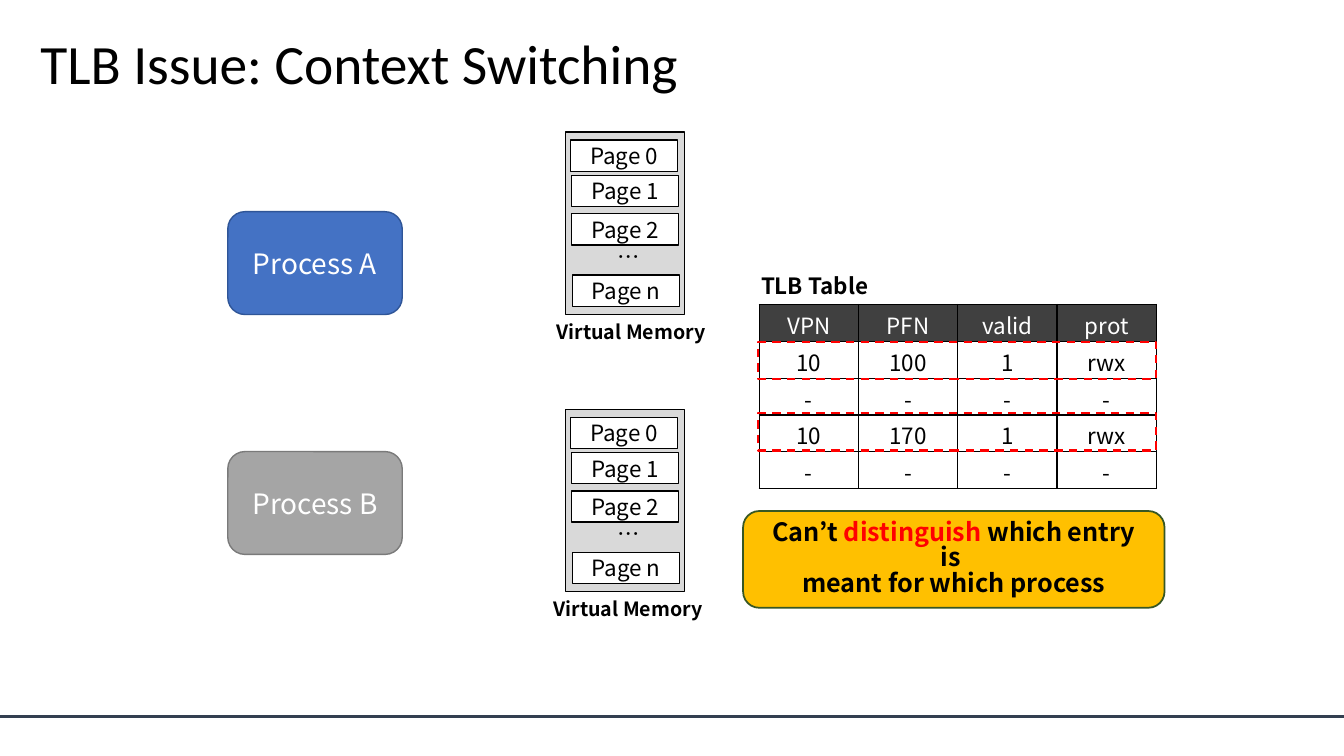
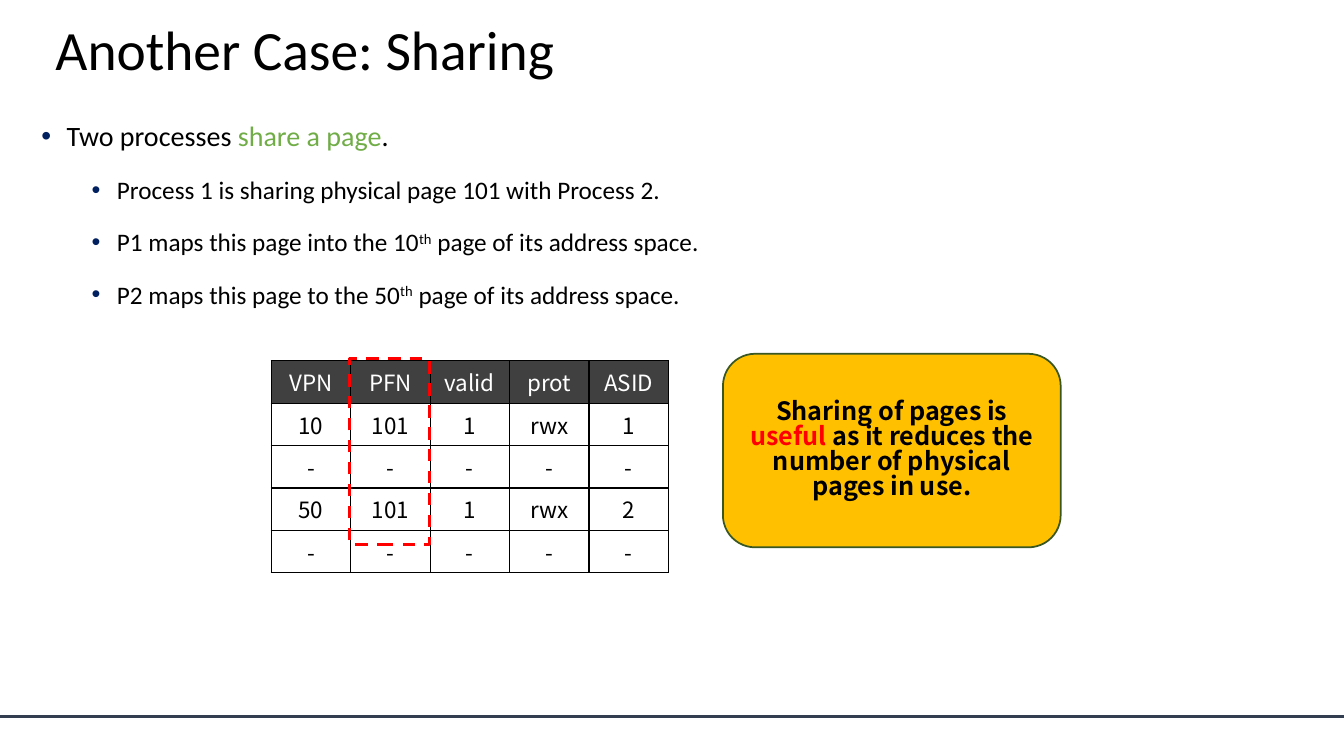
from lxml import etree
from pptx import Presentation
from pptx.dml.color import RGBColor
from pptx.enum.dml import MSO_LINE
from pptx.enum.shapes import MSO_CONNECTOR, MSO_SHAPE as SHAPE
from pptx.enum.text import MSO_ANCHOR as ANCHOR, MSO_AUTO_SIZE, PP_ALIGN as ALIGN
from pptx.oxml.ns import qn
from pptx.util import Inches, Pt

BLACK = RGBColor(0x00, 0x00, 0x00)
WHITE = RGBColor(0xFF, 0xFF, 0xFF)
RED = RGBColor(0xFF, 0x00, 0x00)
GREEN = RGBColor(0x70, 0xAD, 0x47)
NAVY = RGBColor(0x00, 0x20, 0x60)
SLATE = RGBColor(0x33, 0x3F, 0x50)
DARK_GRAY = RGBColor(0x40, 0x40, 0x40)
LIGHT_GRAY = RGBColor(0xD9, 0xD9, 0xD9)
BLUE, BLUE_EDGE = RGBColor(0x44, 0x72, 0xC4), RGBColor(0x2F, 0x55, 0x97)
GRAY, GRAY_EDGE = RGBColor(0xA5, 0xA5, 0xA5), RGBColor(0x7A, 0x7A, 0x7A)
AMBER, AMBER_EDGE = RGBColor(0xFF, 0xC0, 0x00), RGBColor(0x38, 0x57, 0x23)

TEXT_FONT, DIAGRAM_FONT = "Calibri", "Noto Sans CJK KR"
TITLE = dict(name=TEXT_FONT, size=Pt(39.6), color=BLACK)
BODY = dict(name=TEXT_FONT, size=Pt(20), color=BLACK)
SUB_BODY = dict(BODY, size=Pt(18))
LABEL = dict(name=DIAGRAM_FONT, size=Pt(16), color=BLACK)
PROCESS = dict(LABEL, size=Pt(20), color=WHITE)
CAPTION = dict(LABEL, size=Pt(14), bold=True)
CALLOUT = dict(LABEL, size=Pt(18), bold=True)


# Text and shape helpers
def box(left, top, width, height):
    return [Inches(v) for v in (left, top, width, height)]


def add_runs(p, runs, base):
    """Add plain strings or (text, changed format) pairs to a paragraph."""
    for item in [runs] if isinstance(runs, str) else runs:
        text, changes = (item, {}) if isinstance(item, str) else item
        r = p.add_run()
        r.text = text
        for key, value in {**base, **changes}.items():
            if key == "color":
                r.font.color.rgb = value
            elif key == "baseline":
                r._r.get_or_add_rPr().set("baseline", str(value))
            else:
                setattr(r.font, key, value)


def add_shape(slide, kind, at, fill=None, line=BLACK, weight=1, dash=None):
    sp = slide.shapes.add_shape(kind, *box(*at))
    sp.shadow.inherit = False
    if fill is None:
        sp.fill.background()
    else:
        sp.fill.solid()
        sp.fill.fore_color.rgb = fill
    sp.line.color.rgb = line
    sp.line.width = Pt(weight)
    if dash:
        sp.line.dash_style = dash
    return sp


def fill_text(sp, paragraphs, fmt, margin=0.1, spacing=None):
    tf = sp.text_frame
    tf.word_wrap = True
    tf.vertical_anchor = ANCHOR.MIDDLE
    tf.margin_left = tf.margin_right = Inches(margin)
    for i, runs in enumerate(paragraphs):
        p = tf.add_paragraph() if i else tf.paragraphs[0]
        p.alignment = ALIGN.CENTER
        if spacing:
            p.line_spacing = spacing
        add_runs(p, runs, fmt)


def add_label(slide, at, text, fmt, align=ALIGN.LEFT):
    tf = slide.shapes.add_textbox(*box(*at)).text_frame
    tf.word_wrap = True
    p = tf.paragraphs[0]
    p.alignment = align
    add_runs(p, text, fmt)


# Shared parts
def add_master_rule(prs, slide):
    """Draw the bottom rule and move it to the slide master."""
    y = Inches(7.11)
    rule = slide.shapes.add_connector(MSO_CONNECTOR.STRAIGHT, 0, y, prs.slide_width, y)
    rule.line.color.rgb = SLATE
    rule.line.width = Pt(2)
    etree.SubElement(rule.element.spPr, qn("a:effectLst"))
    prs.slide_master.shapes.element.append(rule.element)


def set_title(slide, left, top, text):
    title = slide.shapes.title
    title.left, title.top, title.width, title.height = box(left, top, 9.61, 0.64)
    tf = title.text_frame
    tf.auto_size = MSO_AUTO_SIZE.NONE
    tf.vertical_anchor = ANCHOR.MIDDLE
    p = tf.paragraphs[0]
    p.alignment = ALIGN.LEFT
    p.line_spacing = 0.9
    add_runs(p, text, TITLE)


def add_bullet(p, indent):
    pPr = p._p.get_or_add_pPr()
    pPr.set("marL", str(Inches(indent)))
    pPr.set("indent", str(-Inches(0.25)))
    color = etree.SubElement(pPr, qn("a:buClr"))
    etree.SubElement(color, qn("a:srgbClr"), val=str(NAVY))
    etree.SubElement(pPr, qn("a:buFont"), typeface="Arial")
    etree.SubElement(pPr, qn("a:buChar"), char="•")


def set_body(slide, at, items):
    body = slide.placeholders[1]
    body.left, body.top, body.width, body.height = box(*at)
    tf = body.text_frame
    tf.auto_size = MSO_AUTO_SIZE.NONE
    for i, (level, runs) in enumerate(items):
        p = tf.add_paragraph() if i else tf.paragraphs[0]
        p.level = level
        add_bullet(p, 0.25 + 0.5 * level)
        p.line_spacing = 1.5
        p.space_before = Pt(5 if i else 0)
        add_runs(p, runs, SUB_BODY if level else BODY)


def add_borders(cell):
    tcPr = cell._tc.get_or_add_tcPr()
    for side in ("lnL", "lnR", "lnT", "lnB"):
        ln = etree.SubElement(tcPr, qn(f"a:{side}"), w=str(Pt(1)))
        fill = etree.SubElement(ln, qn("a:solidFill"))
        etree.SubElement(fill, qn("a:srgbClr"), val=str(BLACK))


def add_tlb_table(slide, at, rows, margins):
    table = slide.shapes.add_table(len(rows), len(rows[0]), *box(*at)).table
    table.horz_banding = False
    for i, row in enumerate(rows):
        for j, text in enumerate(row):
            cell = table.cell(i, j)
            cell.margin_top, cell.margin_bottom = [Inches(m) for m in margins]
            add_borders(cell)
            cell.fill.solid()
            cell.fill.fore_color.rgb = WHITE if i else DARK_GRAY
            p = cell.text_frame.paragraphs[0]
            p.alignment = ALIGN.CENTER
            add_runs(p, text, dict(LABEL, color=BLACK if i else WHITE))


def add_highlight(slide, at, weight):
    add_shape(slide, SHAPE.RECTANGLE, at, line=RED, weight=weight, dash=MSO_LINE.DASH)


def add_callout(slide, at, paragraphs):
    sp = add_shape(slide, SHAPE.ROUNDED_RECTANGLE, at, AMBER, AMBER_EDGE, 1.25)
    fill_text(sp, paragraphs, CALLOUT, margin=0.12, spacing=0.83)


# Diagram parts
def add_process(slide, left, top, name, fill, edge):
    sp = add_shape(slide, SHAPE.ROUNDED_RECTANGLE, (left, top, 1.73, 1.02), fill, edge)
    fill_text(sp, [name], PROCESS)


def add_virtual_memory(slide, left, top, caption_dx):
    add_shape(slide, SHAPE.RECTANGLE, (left, top, 1.18, 1.81), LIGHT_GRAY)
    pages = [("0", 0.05, 0.08), ("1", 0.06, 0.43), ("2", 0.06, 0.81), ("n", 0.07, 1.42)]
    for number, dx, dy in pages:
        sp = add_shape(slide, SHAPE.RECTANGLE, (left + dx, top + dy, 1.06, 0.31), WHITE)
        fill_text(sp, [f"Page {number}"], LABEL, margin=0)
    add_label(slide, (left + 0.42, top + 1.05, 1.16, 0.37), "…", LABEL)
    add_label(slide, (left + caption_dx, top + 1.81, 1.92, 0.34),
              "Virtual Memory", CAPTION, ALIGN.CENTER)


# Slides
def build_context_switching(slide):
    set_title(slide, 0.3, 0.34, "TLB Issue: Context Switching")
    add_process(slide, 2.26, 2.1, "Process A", BLUE, BLUE_EDGE)
    add_process(slide, 2.26, 4.48, "Process B", GRAY, GRAY_EDGE)
    add_virtual_memory(slide, 5.61, 1.31, -0.31)
    add_virtual_memory(slide, 5.61, 4.06, -0.34)

    add_label(slide, (7.45, 2.65, 1.54, 0.37), "TLB Table", dict(LABEL, bold=True))
    add_tlb_table(slide, (7.53, 3.02, 3.94, 1.83), [
        ["VPN", "PFN", "valid", "prot"],
        ["10", "100", "1", "rwx"],
        ["-"] * 4,
        ["10", "170", "1", "rwx"],
        ["-"] * 4,
    ], margins=(0.04, 0))
    for top in (3.39, 4.1):
        add_highlight(slide, (7.52, top, 3.95, 0.37), 1.5)
    add_callout(slide, (7.37, 5.07, 4.18, 0.96), [
        ["Can’t ", ("distinguish ", dict(color=RED)), "which entry is "],
        "meant for which process",
    ])


def build_sharing(slide):
    set_title(slide, 0.45, 0.2, "Another Case: Sharing")
    th = ("th", dict(baseline=30000))
    set_body(slide, (0.31, 0.96, 12.81, 6.02), [
        (0, ["Two processes ", ("share a page", dict(color=GREEN)), "."]),
        (1, "Process 1 is sharing physical page 101 with Process 2."),
        (1, ["P1 maps this page into the 10", th, " page of its address space."]),
        (1, ["P2 maps this page to the 50", th, " page of its address space."]),
    ])
    add_tlb_table(slide, (2.69, 3.58, 3.94, 2.1), [
        ["VPN", "PFN", "valid", "prot", "ASID"],
        ["10", "101", "1", "rwx", "1"],
        ["-"] * 5,
        ["50", "101", "1", "rwx", "2"],
        ["-"] * 5,
    ], margins=(0.05, 0.05))
    add_highlight(slide, (3.47, 3.56, 0.79, 1.84), 2.25)
    add_callout(slide, (7.17, 3.51, 3.35, 1.92), [[
        "Sharing of pages is ", ("useful", dict(color=RED)),
        " as it reduces the number of physical pages in use.",
    ]])


def main():
    prs = Presentation()
    prs.slide_width, prs.slide_height = Inches(13.33), Inches(7.5)
    title_and_body, title_only = prs.slide_layouts[1], prs.slide_layouts[5]
    first = prs.slides.add_slide(title_only)
    add_master_rule(prs, first)
    build_context_switching(first)
    build_sharing(prs.slides.add_slide(title_and_body))
    prs.save("out.pptx")


if __name__ == "__main__":
    main()
